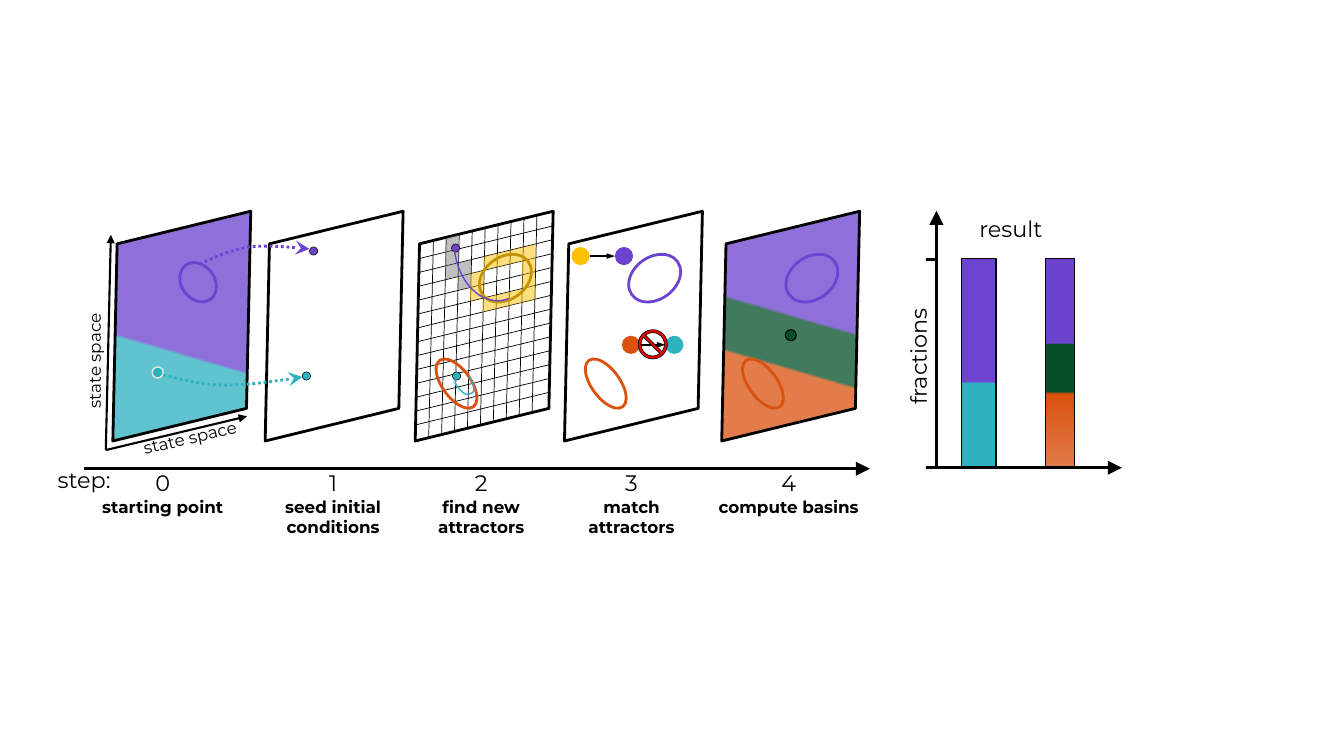
import pptx
import pptx.dml.color
import pptx.enum.dml
import pptx.enum.shapes
import pptx.enum.text
import pptx.oxml
import pptx.oxml.ns
import pptx.util

Pt = pptx.util.Pt
Shape = pptx.enum.shapes.MSO_SHAPE
qn = pptx.oxml.ns.qn
FONT = "Montserrat"
BLACK, OUTLINE, LIGHT, GREY, PURPLE, TEAL, GREEN, ORANGE, YELLOW, GOLD, RED = map(
    pptx.dml.color.RGBColor.from_string,
    ("000000", "1B1B1B", "E7E6E6", "808080", "6D44D0", "2CB3BF", "03502A", "DA5210",
     "FFC000", "C49500", "FF0000"))
PANEL_TOP, PANEL_WIDTH, PANEL_HEIGHT = 164.9, 134.6, 136.1
PURPLE_CYCLE = (62.3, 18.7, 40.3, 30.2)
ORANGE_CYCLE = (37.4, 88.6, 20.2, 41)
SEED, DOT, BALL = 5.8, 7.9, 13

def add_element(parent, name, attributes="", content=""):
    element = pptx.oxml.parse_xml(
        f'<a:{name} {pptx.oxml.ns.nsdecls("a")} {attributes}>{content}</a:{name}>')
    parent.append(element)
    return element

def add_text(slide, box, *lines, rotation=0):
    """Centred text; each line is (text, size, bold), parted by line breaks."""
    text_box = slide.shapes.add_textbox(*map(Pt, box))
    text_box.rotation = rotation
    frame = text_box.text_frame
    frame.word_wrap = True
    frame.auto_size = pptx.enum.text.MSO_AUTO_SIZE.SHAPE_TO_FIT_TEXT
    paragraph = frame.paragraphs[0]
    paragraph.alignment = pptx.enum.text.PP_ALIGN.CENTER
    for number, (text, size, bold) in enumerate(lines):
        if number:
            paragraph.add_line_break()
        run = paragraph.add_run()
        run.text = text
        run.font.name, run.font.size, run.font.bold = FONT, Pt(size), bold
        run.font.color.rgb = BLACK

def style_line(line, color, width, head=None, head_width="med", head_length="med"):
    line.color.rgb = color
    line.width = Pt(width)
    if head:
        add_element(line._get_or_add_ln(), "tailEnd",
                    f'type="{head}" w="{head_width}" len="{head_length}"')

def add_shape(slide, kind, origin, box, fill=None, alpha=100, line=None, width=1,
              rotation=0, adjustments=()):
    x, y = origin
    left, top, shape_width, shape_height = box
    shape = slide.shapes.add_shape(kind, *map(Pt, (x + left, y + top, shape_width, shape_height)))
    shape.shadow.inherit = False
    shape.rotation = rotation
    for index, value in enumerate(adjustments):
        shape.adjustments[index] = value
    if fill is None:
        shape.fill.background()
    else:
        shape.fill.solid()
        shape.fill.fore_color.rgb = fill
        add_element(shape._element.spPr.find(qn("a:solidFill"))[0], "alpha", f'val="{alpha * 1000}"')
    if line is None:
        shape.line.fill.background()
    else:
        style_line(shape.line, line, width)
    return shape

def set_gradient(shape, stops, angle):
    """Replace the empty fill; each stop is (percent, colour, opacity percent)."""
    properties = shape._element.spPr
    content = "".join(f'<a:gs pos="{position * 1000}"><a:srgbClr val="{color}">'
                      f'<a:alpha val="{opacity * 1000}"/></a:srgbClr></a:gs>'
                      for position, color, opacity in stops)
    gradient = add_element(properties, "gradFill", 'rotWithShape="1"', f'<a:gsLst>{content}</a:gsLst>'
                           f'<a:lin ang="{angle * 60000}" scaled="0"/>')
    properties.replace(properties.find(qn("a:noFill")), gradient)

def add_line(slide, origin, start, end, width=1.5, **head_format):
    x, y = origin
    connector = slide.shapes.add_connector(
        pptx.enum.shapes.MSO_CONNECTOR.STRAIGHT,
        *map(Pt, (x + start[0], y + start[1], x + end[0], y + end[1])))
    style_line(connector.line, BLACK, width, **head_format)
    add_element(connector._element.spPr, "effectLst")

def add_axis(slide, origin, start, end):
    add_line(slide, origin, start, end, 2, head="triangle", head_width="lg", head_length="lg")

def add_curve(slide, origin, controls, color, width, dotted=False, **head_format):
    """Trace a chain of cubic Bezier curves that share their end points."""
    steps = 12
    points = [controls[0]]
    for first in range(0, len(controls) - 1, 3):
        for t in (step / steps for step in range(1, steps + 1)):
            weights = ((1 - t) ** 3, 3 * t * (1 - t) ** 2, 3 * t * t * (1 - t), t ** 3)
            points.append([sum(w * p[axis] for w, p in zip(weights, controls[first:first + 4]))
                           for axis in (0, 1)])
    points = [(Pt(origin[0] + x), Pt(origin[1] + y)) for x, y in points]
    builder = slide.shapes.build_freeform(*points[0])
    builder.add_line_segments(points[1:], close=False)
    curve = builder.convert_to_shape()
    curve.shadow.inherit = False
    curve.fill.background()
    if dotted:
        curve.line.dash_style = pptx.enum.dml.MSO_LINE.ROUND_DOT
    style_line(curve.line, color, width, **head_format)

def add_circle(slide, origin, left, top, size, fill, **line_format):
    add_shape(slide, Shape.OVAL, origin, (left, top, size, size), fill, **line_format)

def add_seed(slide, origin, left, top, color):
    add_circle(slide, origin, left, top, SEED, color, line=OUTLINE, width=0.5)

def add_cycle(slide, origin, box, color):
    add_shape(slide, Shape.OVAL, origin, box, line=color, width=2, rotation=323.9)

def draw_panel(slide, origin, stops=()):
    panel = add_shape(slide, Shape.PARALLELOGRAM, origin, (0, 0, PANEL_WIDTH, PANEL_HEIGHT),
                      line=BLACK, width=2, rotation=346.3, adjustments=[0.27])
    if stops:
        set_gradient(panel, [(position, color, 75) for position, color in stops], 120)

def draw_starting_point(slide, origin):
    x, y = origin
    draw_panel(slide, origin, [(0, PURPLE), (59, PURPLE), (60, TEAL), (100, TEAL)])
    add_cycle(slide, origin, (67, 21.6, 23.8, 30.2), PURPLE)
    add_circle(slide, origin, 46.1, 97.2, DOT, TEAL, line=LIGHT)
    for end, left, top, rotation in (((16.6, 2.9), -49, 82.1, 270),
                                     ((113.8, 132.5), 19.4, 136.8, 346.8)):
        add_line(slide, origin, (13, 156.6), end, head="triangle")
        add_text(slide, (x + left, y + top, 107.3, 21.6), ("state space", 12, False), rotation=rotation)

def draw_seeds(slide, origin):
    draw_panel(slide, origin)
    add_seed(slide, origin, 49.7, 11.5, PURPLE)
    add_seed(slide, origin, 44.6, 100.8, TEAL)

def draw_seeding_arrows(slide, origin):
    for color, controls in (
            (PURPLE, [(79.9, 23.8), (90.7, 18.7), (102.2, 13.7), (115.2, 11.5),
                      (128.2, 10.1), (143.3, 11.5), (158.4, 13)]),
            (TEAL, [(54, 103), (68.4, 106.6), (82.8, 110.2), (99.4, 110.2),
                    (115.9, 110.2), (134.6, 107.3), (153.4, 104.4)])):
        add_curve(slide, origin, controls, color, 2, dotted=True, head="stealth",
                  head_width="lg", head_length="lg")

def draw_attractor_search(slide, origin):
    column_step, column_rise, row_step = 9.24, 2.2, 9.9
    draw_panel(slide, origin)
    for column in range(9):
        x, y = 31 + column * column_step, 7 - column * column_rise
        add_line(slide, origin, (x, y), (x - 3.4, y + 140.4), 0.5)
    for row in range(13):
        x, y = 116.6 - row * 0.2, -3.6 + row * row_step
        add_line(slide, origin, (x, y), (x - 95.8, y + 23.4), 0.5)
    add_seed(slide, origin, 44.6, 100.8, TEAL)
    add_cycle(slide, origin, ORANGE_CYCLE, ORANGE)
    add_curve(slide, origin, [
        (47.5, 103), (46.8, 105.1), (46.1, 107.3), (46.8, 109.4), (48.2, 111.6), (51.8, 115.9),
        (54, 116.6), (56.2, 117.4), (59.8, 115.9), (59.8, 113.8), (60.5, 111.6), (58.3, 107.3),
        (56.9, 103.7)], TEAL, 1)
    visited = [(0, 0), (0, 1), (0, 2), (1, 2), (1, 3)]
    attractor = [(2, 3), (2, 4), (3, 2), (3, 5), (4, 2), (4, 5), (5, 2), (5, 5),
                 (6, 2), (6, 3), (6, 4), (6, 5)]
    for color, cells in ((YELLOW, attractor), (GREY, visited)):
        for column, row in cells:
            box = (38.2 + column * column_step - row * 0.2,
                   4.3 - column * column_rise + row * row_step, 12.2, 9.4)
            add_shape(slide, Shape.PARALLELOGRAM, origin, box, color, 50, rotation=346, adjustments=[0.26])
    add_seed(slide, origin, 43.9, 9.4, PURPLE)
    add_cycle(slide, origin, PURPLE_CYCLE, GOLD)
    trajectory = add_shape(slide, Shape.ARC, origin, (34.6, -20.2, 81.4, 59), line=PURPLE,
                           rotation=85.4, adjustments=[163.86, 5.45])
    trajectory._element.spPr.find(qn("a:xfrm")).set("flipV", "1")

def draw_matching(slide, origin):
    draw_panel(slide, origin)
    add_cycle(slide, origin, ORANGE_CYCLE, ORANGE)
    add_cycle(slide, origin, PURPLE_CYCLE, PURPLE)
    for left, top, before, after in ((23, 11.5, YELLOW, PURPLE), (59, 74.9, ORANGE, TEAL)):
        middle = top + BALL / 2
        add_line(slide, origin, (left + BALL, middle), (left + 31, middle), head="triangle", head_width="sm")
        add_circle(slide, origin, left, top, BALL, before)
        add_circle(slide, origin, left + 31, top, BALL, after)
    add_shape(slide, Shape.NO_SYMBOL, origin, (70.6, 70.6, 20.9, 20.9), RED, line=BLACK,
              width=0.5, adjustments=[0.1])

def draw_basins(slide, origin):
    draw_panel(slide, origin, [(0, PURPLE), (46, PURPLE), (47, GREEN), (64, GREEN),
                               (65, ORANGE), (100, ORANGE)])
    add_cycle(slide, origin, ORANGE_CYCLE, ORANGE)
    add_cycle(slide, origin, PURPLE_CYCLE, PURPLE)
    add_circle(slide, origin, 63.4, 70.6, DOT, GREEN, line=BLACK, width=0.75)

def draw_step_axis(slide, origin):
    x, y = origin
    add_axis(slide, origin, (0, 0), (561.6, 0))
    add_text(slide, (x - 34.6, y - 5.4, 69.8, 26.6), ("step:", 16, False))
    steps = ((56.5, "starting point"), (178.2, "seed initial conditions"), (284, "find new attractors"),
             (391.3, "match attractors"), (503.6, "compute basins"))
    for number, (center, name) in enumerate(steps):
        add_text(slide, (x + center - 58, y - 2.9, 116, 55.4), (str(number), 16, False), (name, 12, True))

def draw_result(slide, origin):
    x, y = origin
    base = 183.6
    add_text(slide, (x - 68.4, y + 90.7, 125.3, 26.6), ("fractions", 16, False), rotation=270)
    add_axis(slide, origin, (0, base), (139.7, base))
    add_axis(slide, origin, (7.2, base), (7.2, 0))
    add_line(slide, origin, (0, 34.6), (7.2, 34.6), 2)
    before = [(0, PURPLE, 100), (59, PURPLE, 100), (60, TEAL, 100), (100, TEAL, 100)]
    after = [(0, PURPLE, 100), (41, PURPLE, 100), (41, GREEN, 100), (64, GREEN, 100),
             (65, ORANGE, 100), (100, ORANGE, 75)]
    for left, width, stops in ((25.2, 24.5, before), (85, 20.9, after)):
        bar = add_shape(slide, Shape.RECTANGLE, origin, (left, 34.2, width, 148.8), line=BLACK)
        set_gradient(bar, stops, 90)
    add_text(slide, (x - 5.8, y, 132.5, 26.6), ("result", 16, False))

presentation = pptx.Presentation()
presentation.slide_width, presentation.slide_height = Pt(960), Pt(540)
slide = presentation.slides.add_slide(presentation.slide_layouts[6])
draw_step_axis(slide, (59.8, 334.8))
for left, draw in ((62.6, draw_starting_point), (171.4, draw_seeds), (62.6, draw_seeding_arrows),
                   (278.6, draw_attractor_search), (385.2, draw_matching), (497.5, draw_basins)):
    draw(slide, (left, PANEL_TOP))
draw_result(slide, (661.7, 150.5))
presentation.save("out.pptx")
